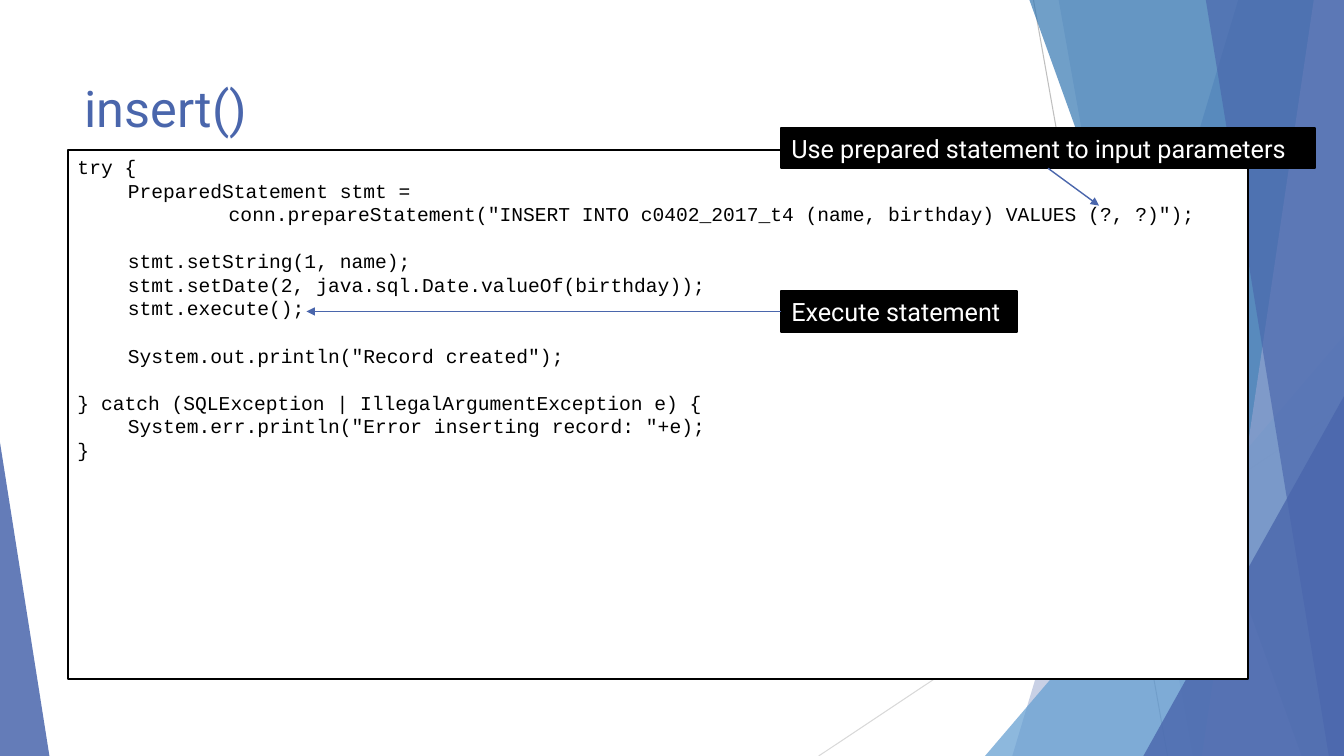
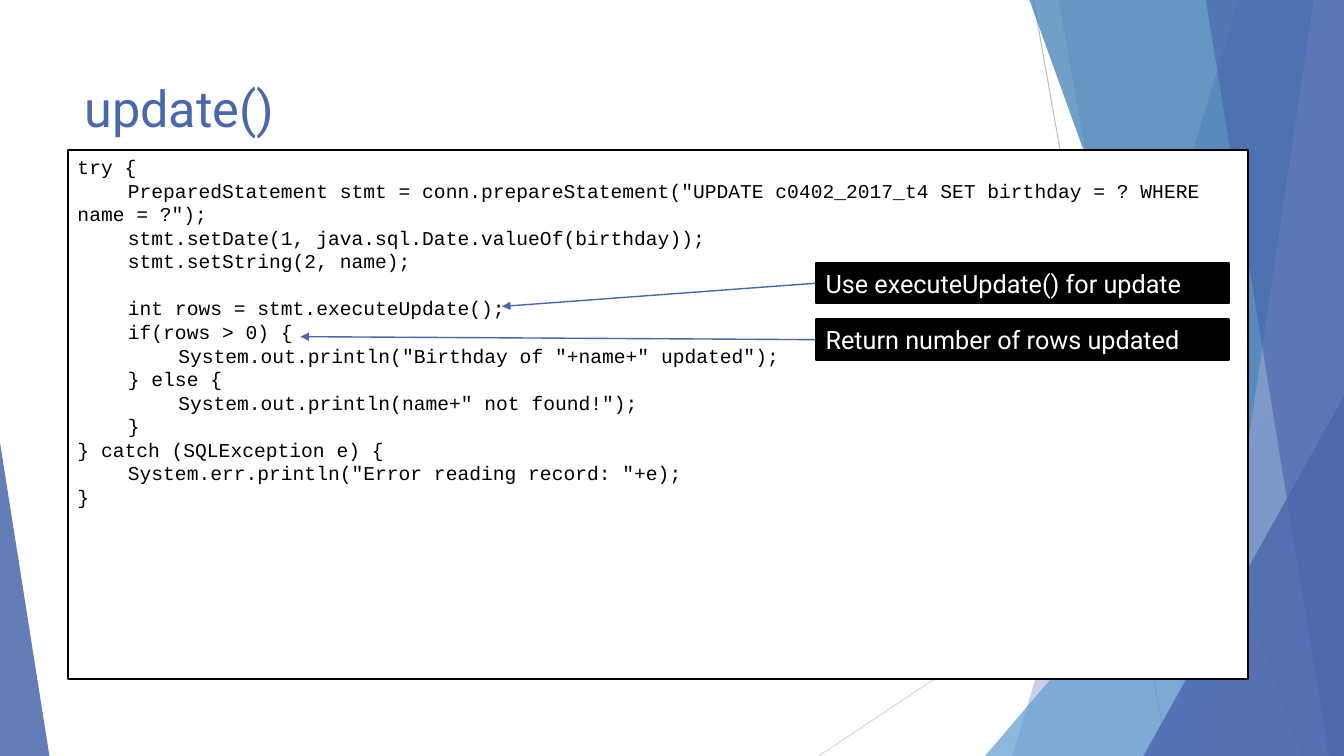
"""Build two slides that explain JDBC insert and update code with callouts."""
from lxml.etree import SubElement
from pptx import Presentation
from pptx.dml.color import RGBColor
from pptx.enum.shapes import MSO_CONNECTOR, MSO_SHAPE
from pptx.enum.text import MSO_ANCHOR, PP_ALIGN
from pptx.oxml.ns import qn
from pptx.util import Inches, Pt

WHITE = RGBColor(0xFF, 0xFF, 0xFF)
BLACK = RGBColor(0x00, 0x00, 0x00)
INDIGO = RGBColor(0x4A, 0x66, 0xAC)
SKY = RGBColor(0x62, 0x9D, 0xD1)
OCEAN = RGBColor(0x34, 0x77, 0xB2)
LAVENDER = RGBColor(0x90, 0xA2, 0xCF)
GREY = RGBColor(0xBF, 0xBF, 0xBF)
LIGHT_GREY = RGBColor(0xD9, 0xD9, 0xD9)

WIDTH, HEIGHT = 13.33, 7.5
TITLE_FONT, CODE_FONT = "Roboto", "Courier New"
CODE_PITCH = Pt(16.8)
INDENT = 0.5
CALLOUT_HEIGHT = 0.4
BOTTOM, LEFT = 2, 1

INSERT_CODE = """try {
\tPreparedStatement stmt =
\t\t\tconn.prepareStatement("INSERT INTO c0402_2017_t4 (name, birthday) VALUES (?, ?)");

\tstmt.setString(1, name);
\tstmt.setDate(2, java.sql.Date.valueOf(birthday));
\tstmt.execute();

\tSystem.out.println("Record created");

} catch (SQLException | IllegalArgumentException e) {
\tSystem.err.println("Error inserting record: "+e);
}"""

UPDATE_CODE = """try {
\tPreparedStatement stmt = conn.prepareStatement("UPDATE c0402_2017_t4 SET birthday = ? WHERE name = ?");
\tstmt.setDate(1, java.sql.Date.valueOf(birthday));
\tstmt.setString(2, name);

\tint rows = stmt.executeUpdate();
\tif(rows > 0) {
\t\tSystem.out.println("Birthday of "+name+" updated");
\t} else {
\t\tSystem.out.println(name+" not found!");
\t}
} catch (SQLException e) {
\tSystem.err.println("Error reading record: "+e);
}"""


def paint(shape, color, opacity=100):
    """Fill a shape without outline or shadow."""
    shape.shadow.inherit = False
    shape.line.fill.background()
    shape.fill.solid()
    shape.fill.fore_color.rgb = color
    if opacity < 100:
        solid = shape.fill._xPr.find(qn("a:solidFill"))
        SubElement(solid[0], qn("a:alpha"), val=str(opacity * 1000))


def add_line(slide, start, end, color, weight):
    """Draw a straight line without shadow."""
    points = [Inches(value) for value in (*start, *end)]
    line = slide.shapes.add_connector(MSO_CONNECTOR.STRAIGHT, *points)
    line.line.color.rgb = color
    line.line.width = Pt(weight)
    SubElement(line._element.spPr, qn("a:effectLst"))
    return line


def add_shard(slide, top_x, bottom_x, color, opacity):
    """Draw a slanted band that reaches the right edge of the slide."""
    builder = slide.shapes.build_freeform(Inches(top_x), 0)
    corners = [(WIDTH, 0), (WIDTH, HEIGHT), (bottom_x, HEIGHT)]
    builder.add_line_segments([(Inches(x), Inches(y)) for x, y in corners])
    paint(builder.convert_to_shape(), color, opacity)


def add_corner(slide, left, top, width, apex, color, opacity):
    """Draw a triangle that stands on the bottom edge of the slide."""
    corner = slide.shapes.add_shape(
        MSO_SHAPE.ISOSCELES_TRIANGLE, Inches(left), Inches(top),
        Inches(width), Inches(HEIGHT - top))
    corner.adjustments[0] = apex
    paint(corner, color, opacity)


def add_backdrop(slide):
    """Draw the facets that all slides share."""
    add_line(slide, (10.25, 0), (11.58, HEIGHT), GREY, 0.75)
    add_line(slide, (WIDTH, 4.03), (8.12, HEIGHT), LIGHT_GREY, 0.75)
    add_shard(slide, 12.28, 10.04, INDIGO, 30)
    add_shard(slide, 10.5, 11.83, INDIGO, 20)
    add_corner(slide, 9.77, 3.33, 3.56, 1, SKY, 72)
    add_shard(slide, 10.21, 12.91, OCEAN, 70)
    add_shard(slide, 13.03, 11.92, LAVENDER, 70)
    add_shard(slide, 11.96, 13.18, INDIGO, 65)
    add_corner(slide, 11.34, 3.93, 1.99, 1, INDIGO, 80)
    add_corner(slide, 0, 4.39, 0.49, 0, INDIGO, 85)


def write(paragraph, text, font, size, color):
    """Add one left-aligned run to a paragraph."""
    paragraph.alignment = PP_ALIGN.LEFT
    run = paragraph.add_run()
    run.text = text
    run.font.name = font
    run.font.size = Pt(size)
    run.font.color.rgb = color


def add_title(slide, text):
    """Write the slide title."""
    title = slide.shapes.add_textbox(
        Inches(0.74), Inches(0.67), Inches(9.4), Inches(0.8))
    title.text_frame.word_wrap = True
    title.text_frame.vertical_anchor = MSO_ANCHOR.MIDDLE
    write(title.text_frame.paragraphs[0], text, TITLE_FONT, 36, INDIGO)


def add_panel(slide, left, top, width, height, color):
    """Draw a black-edged rectangle."""
    panel = slide.shapes.add_shape(
        MSO_SHAPE.RECTANGLE, Inches(left), Inches(top),
        Inches(width), Inches(height))
    paint(panel, color)
    panel.line.color.rgb = BLACK
    panel.line.width = Pt(1.5)
    return panel


def add_code(slide, code):
    """Write code lines, turning tabs into indents and gaps into spacing."""
    frame = add_panel(slide, 0.67, 1.49, 11.71, 5.25, WHITE).text_frame
    frame.word_wrap = True
    frame.vertical_anchor = MSO_ANCHOR.TOP
    paragraph = frame.paragraphs[0]
    gap = 0
    for number, line in enumerate(code.split("\n")):
        if not line:
            gap = CODE_PITCH
            continue
        if number:
            paragraph = frame.add_paragraph()
        statement = line.lstrip("\t")
        level = len(line) - len(statement)
        properties = paragraph._p.get_or_add_pPr()
        properties.set("marL", "0")
        properties.set("indent", str(Inches(INDENT * level)))
        paragraph.line_spacing = CODE_PITCH
        paragraph.space_before = gap
        write(paragraph, statement, CODE_FONT, 14, BLACK)
        gap = 0


def add_callout(slide, text, left, top, width, side, target):
    """Draw a black label with an arrow from one side to its code."""
    label = add_panel(slide, left, top, width, CALLOUT_HEIGHT, BLACK)
    label.text_frame.word_wrap = False
    label.text_frame.vertical_anchor = MSO_ANCHOR.MIDDLE
    write(label.text_frame.paragraphs[0], text, TITLE_FONT, 18, WHITE)
    arrow = add_line(slide, (left, top), target, INDIGO, 1)
    arrow.begin_connect(label, side)
    SubElement(arrow.line._get_or_add_ln(), qn("a:tailEnd"), type="triangle")


def add_code_slide(deck, title, code, callouts):
    """Add a slide with a title, code and callouts."""
    slide = deck.slides.add_slide(deck.slide_layouts[6])
    add_backdrop(slide)
    add_title(slide, title)
    add_code(slide, code)
    for callout in callouts:
        add_callout(slide, *callout)


def main():
    """Build and save the deck."""
    deck = Presentation()
    deck.slide_width, deck.slide_height = Inches(WIDTH), Inches(HEIGHT)
    add_code_slide(deck, "insert()", INSERT_CODE, [
        ("Use prepared statement to input parameters",
         7.75, 1.27, 5.29, BOTTOM, (10.9, 2.04)),
        ("Execute statement", 7.75, 2.89, 2.34, LEFT, (3.04, 3.09)),
    ])
    add_code_slide(deck, "update()", UPDATE_CODE, [
        ("Use executeUpdate() for update",
         8.09, 2.61, 4.1, LEFT, (4.98, 3.04)),
        ("Return number of rows updated",
         8.09, 3.17, 4.1, LEFT, (2.98, 3.34)),
    ])
    deck.save("out.pptx")


if __name__ == "__main__":
    main()
